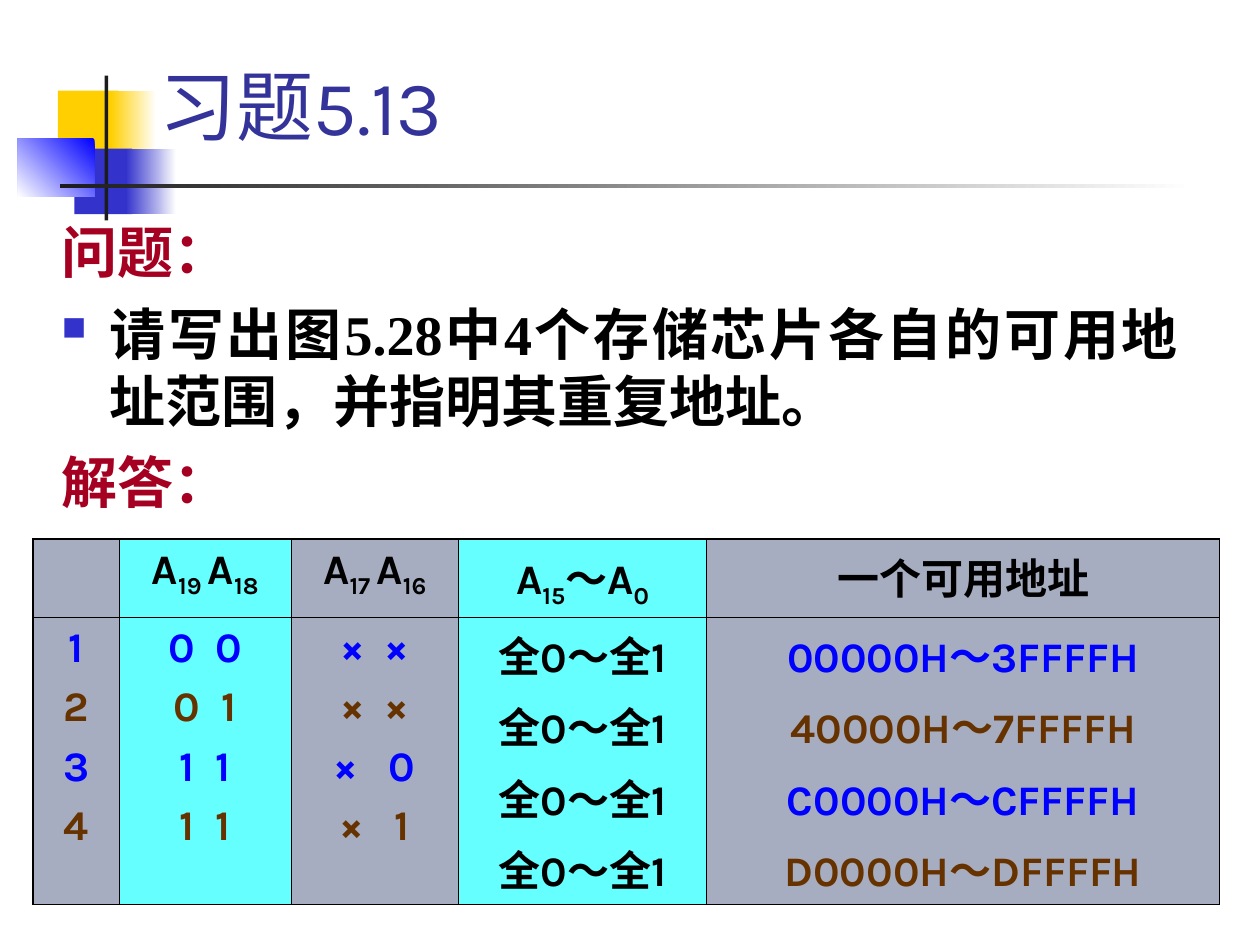
import pptx
import pptx.util
from dataclasses import dataclass
from lxml import etree
from pptx.dml.color import RGBColor
from pptx.enum.shapes import MSO_SHAPE
from pptx.enum.text import MSO_ANCHOR, PP_ALIGN
from pptx.oxml.ns import qn
from pptx.util import Inches, Pt


@dataclass(frozen=True)
class Theme:
    white: str = "FFFFFF"
    black: str = "000000"
    yellow: str = "FFCF01"
    indigo: str = "3333CC"
    blue: str = "0000FF"
    charcoal: str = "1C1C1C"
    title: str = "333399"
    heading: str = "A50021"
    brown: str = "663300"
    gray_cell: str = "A6ADC0"
    cyan_cell: str = "66FFFF"
    title_size: int = 44
    body_size: int = 32
    table_size: int = 24
    font: str = "Karla"
    serif: str = "Times New Roman"


theme = Theme()


def style(run, size, color, bold=True, face=theme.font):
    run.font.size = Pt(size)
    run.font.name = face
    run.font.bold = bold
    run.font.color.rgb = RGBColor.from_string(color)


def add_pieces(paragraph, pieces, color):
    """Add table text from (text, baseline percent, extra letter spacing in points)."""
    for text, baseline, spacing in pieces:
        run = paragraph.add_run()
        run.text = text
        style(run, theme.table_size, color)
        if baseline:
            run.font._element.set("baseline", str(baseline * 1000))
        if spacing:
            run.font._element.set("spc", str(spacing * 100))


deck = pptx.Presentation()
deck.slide_width, deck.slide_height = Inches(10), Inches(7.5)
slide = deck.slides.add_slide(deck.slide_layouts[6])

# Corner ornament: (left, top, width, height, first colour, last colour, angle)
ornament = [
    (0.46, 0.72, 0.48, 0.52, theme.yellow, None, 0),
    (0.88, 0.72, 0.36, 0.52, theme.white, theme.yellow, 180),
    (0.59, 1.18, 0.46, 0.52, theme.indigo, None, 0),
    (1, 1.18, 0.4, 0.52, theme.white, theme.indigo, 180),
    (0.14, 1.1, 0.61, 0.46, theme.blue, theme.white, 225),
    (0.83, 0.6, 0.03, 1.15, theme.charcoal, None, 0),
    (0.48, 1.46, 9, 0.03, theme.white, theme.charcoal, 180),
]
for left, top, width, height, first, last, angle in ornament:
    block = slide.shapes.add_shape(
        MSO_SHAPE.RECTANGLE, Inches(left), Inches(top), Inches(width), Inches(height))
    block.shadow.inherit = False
    block.line.fill.background()
    if last is None:
        block.fill.solid()
        block.fill.fore_color.rgb = RGBColor.from_string(first)
    else:
        block.fill.gradient()
        block.fill.gradient_angle = angle
        for stop, color in zip(block.fill.gradient_stops, (first, last)):
            stop.color.rgb = RGBColor.from_string(color)

title = slide.shapes.add_textbox(
    Inches(1.17), Inches(0.33), Inches(8.52), Inches(0.92)).text_frame
title.word_wrap = True
title.vertical_anchor = MSO_ANCHOR.BOTTOM
title.text = "习题5.13"
style(title.paragraphs[0].runs[0], theme.title_size, theme.title, bold=False)

exercise = slide.shapes.add_textbox(
    Inches(0.39), Inches(1.68), Inches(9.06), Inches(2.53)).text_frame
exercise.word_wrap = True
exercise_lines = [
    ("问题：", theme.heading, theme.font, False),
    ("请写出图5.28中4个存储芯片各自的可用地址范围，并指明其重复地址。",
     theme.black, theme.serif, True),
    ("解答：", theme.heading, theme.font, False),
]
exercise.text = "\n".join(line[0] for line in exercise_lines)
for index, (paragraph, line) in enumerate(zip(exercise.paragraphs, exercise_lines)):
    text, color, face, bulleted = line
    paragraph.alignment = PP_ALIGN.JUSTIFY
    if index:
        paragraph.space_before = Pt(8)
    properties = paragraph._p.get_or_add_pPr()
    properties.set("marL", str(Inches(0.38)))
    properties.set("indent", str(-Inches(0.38)))
    if bulleted:
        bullet_color = etree.SubElement(properties, qn("a:buClr"))
        etree.SubElement(bullet_color, qn("a:srgbClr"), val=theme.indigo)
        etree.SubElement(properties, qn("a:buSzPct"), val="60000")
        etree.SubElement(properties, qn("a:buChar"), char="■")
    style(paragraph.runs[0], theme.body_size, color, face=face)

column_widths = [0.69, 1.36, 1.33, 1.97, 4.07]
row_heights = [0.62, 2.28]
headers = [
    [],
    [("A", 0, 0), ("19 ", -25, 0), ("A", 0, 0), ("18", -25, 0)],
    [("A", 0, 0), ("17 ", -25, 0), ("A", 0, 0), ("16", -25, 0)],
    [("A", 0, 0), ("15", -25, 0), ("～A", 0, 0), ("0", -25, 0)],
    [("一个可用地址", 0, 0)],
]
# A tuple is a pair of address bits with the gap between them in points.
chips = [
    ["1", ("0", "0", 6), ("×", "×", 6), "全0～全1", "00000H～3FFFFH"],
    ["2", ("0", "1", 6), ("×", "×", 6), "全0～全1", "40000H～7FFFFH"],
    ["3", ("1", "1", 6), ("×", "0", 12), "全0～全1", "C0000H～CFFFFH"],
    ["4", ("1", "1", 6), ("×", "1", 12), "全0～全1", "D0000H～DFFFFH"],
]
offset_column = 3

addresses = slide.shapes.add_table(
    len(row_heights), len(column_widths), Inches(0.26), Inches(4.28),
    Inches(sum(column_widths)), Inches(sum(row_heights))).table
addresses.first_row = addresses.horz_banding = False
for row, height in zip(addresses.rows, row_heights):
    row.height = Inches(height)

for col, width in enumerate(column_widths):
    addresses.columns[col].width = Inches(width)
    for row in range(len(row_heights)):
        cell = addresses.cell(row, col)
        outer_edges = {
            "a:lnL": col == 0,
            "a:lnR": col == len(column_widths) - 1,
            "a:lnT": row == 0,
            "a:lnB": row == len(row_heights) - 1,
        }
        for edge, is_outer in outer_edges.items():
            border = etree.SubElement(
                cell._tc.get_or_add_tcPr(), qn(edge), w=str(Pt(1.08 if is_outer else 0.45)))
            ink = etree.SubElement(border, qn("a:solidFill"))
            etree.SubElement(ink, qn("a:srgbClr"), val=theme.black)
        cell.fill.solid()
        cell.fill.fore_color.rgb = RGBColor.from_string(
            theme.cyan_cell if col % 2 else theme.gray_cell)

    heading = addresses.cell(0, col).text_frame.paragraphs[0]
    heading.alignment = PP_ALIGN.CENTER
    add_pieces(heading, headers[col], theme.black)

    values = addresses.cell(1, col).text_frame
    for index, chip in enumerate(chips):
        paragraph = values.add_paragraph() if index else values.paragraphs[0]
        paragraph.alignment = PP_ALIGN.CENTER
        if index:
            paragraph.space_before = Pt(6)
        color = theme.brown if index % 2 else theme.blue
        if col == offset_column:
            color = theme.black
        value = chip[col]
        if isinstance(value, tuple):
            high, low, gap = value
            pieces = [(high, 0, 0), (" ", 0, gap), (low, 0, 0)]
        else:
            pieces = [(value, 0, 0)]
        add_pieces(paragraph, pieces, color)

deck.save("out.pptx")
